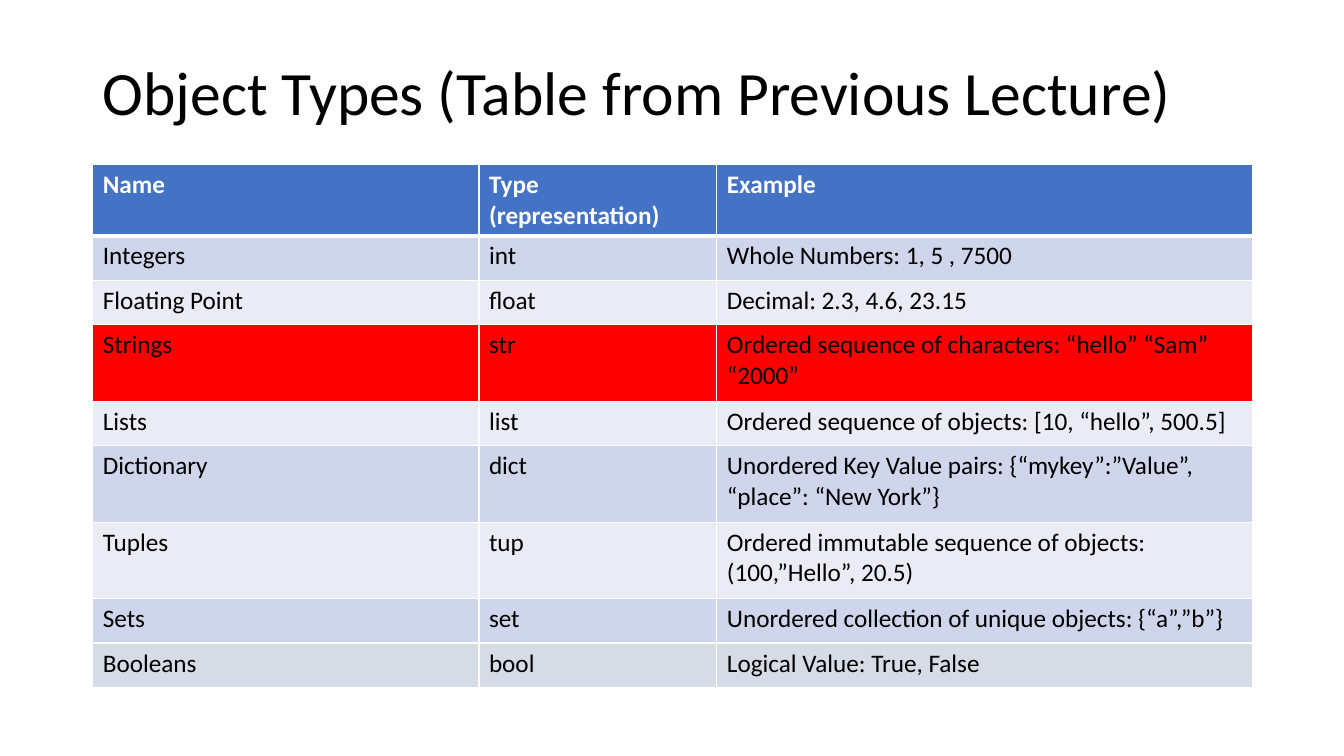
"""Build a slide with a table of Python object types."""
from lxml import etree
from pptx import Presentation
from pptx.dml.color import RGBColor
from pptx.enum.text import MSO_ANCHOR, PP_ALIGN
from pptx.oxml.ns import qn
from pptx.util import Inches, Pt

LEFT = PP_ALIGN.LEFT
MIDDLE = MSO_ANCHOR.MIDDLE
FONT = "Calibri"
COLORS = {
    "white": "FFFFFF", "black": "000000", "head": "4472C4", "dark": "CFD5EA",
    "light": "E9EBF5", "red": "FF0000", "gray": "D6DCE5",
}
ROWS = [
    ("Name", "Type (representation)", "Example"),
    ("Integers", "int", "Whole Numbers: 1, 5 , 7500"),
    ("Floating Point", "float", "Decimal: 2.3, 4.6, 23.15"),
    ("Strings", "str", "Ordered sequence of characters: “hello” “Sam” “2000”"),
    ("Lists", "list", "Ordered sequence of objects: [10, “hello”, 500.5]"),
    ("Dictionary", "dict",
     "Unordered Key Value pairs: {“mykey”:”Value”, “place”: “New York”}"),
    ("Tuples", "tup",
     "Ordered immutable sequence of objects: (100,”Hello”, 20.5)"),
    ("Sets", "set", "Unordered collection of unique objects: {“a”,”b”}"),
    ("Booleans", "bool", "Logical Value: True, False"),
]
WIDTHS = [3.83, 2.36, 5.31]
TALL = {"Strings", "Dictionary", "Tuples"}
FILLS = {"Name": "head", "Strings": "red", "Booleans": "gray"}


def style(para, size, color, bold=False):
    font = para.font
    font.name, font.size, font.bold = FONT, Pt(size), bold
    font.color.rgb = RGBColor.from_string(COLORS[color])


def border(cell, side, width):
    line = etree.SubElement(cell._tc.get_or_add_tcPr(), qn(f"a:ln{side}"),
                            w=str(Pt(width)))
    fill = etree.SubElement(line, qn("a:solidFill"))
    etree.SubElement(fill, qn("a:srgbClr"), val=COLORS["white"])


prs = Presentation()
prs.slide_width, prs.slide_height = Inches(13.33), Inches(7.5)
slide = prs.slides.add_slide(prs.slide_layouts[5])

title = slide.shapes.title
title.left, title.top = Inches(0.92), Inches(0.4)
title.width, title.height = Inches(11.5), Inches(1.09)
frame = title.text_frame
frame.text = "Object Types (Table from Previous Lecture)"
frame.vertical_anchor = MIDDLE
frame.word_wrap = True
para = frame.paragraphs[0]
para.alignment = LEFT
para.line_spacing = 0.9
style(para, 44, "black")

table = slide.shapes.add_table(
    len(ROWS), len(WIDTHS), Inches(0.92), Inches(1.63), Inches(11.5), Inches(5.16)
).table
for col, width in zip(table.columns, WIDTHS):
    col.width = Inches(width)

for r, row in enumerate(ROWS):
    name = row[0]
    table.rows[r].height = Inches(0.76 if name in TALL else 0.44)
    fill = FILLS.get(name, "dark" if r % 2 else "light")
    for c, text in enumerate(row):
        cell = table.cell(r, c)
        cell.text = text
        style(cell.text_frame.paragraphs[0], 18, "black" if r else "white", r == 0)
        for side in "LRTB":
            thick = (r, side) in ((0, "B"), (1, "T"))
            border(cell, side, 3 if thick else 1)
        cell.fill.solid()
        cell.fill.fore_color.rgb = RGBColor.from_string(COLORS[fill])

prs.save("out.pptx")
